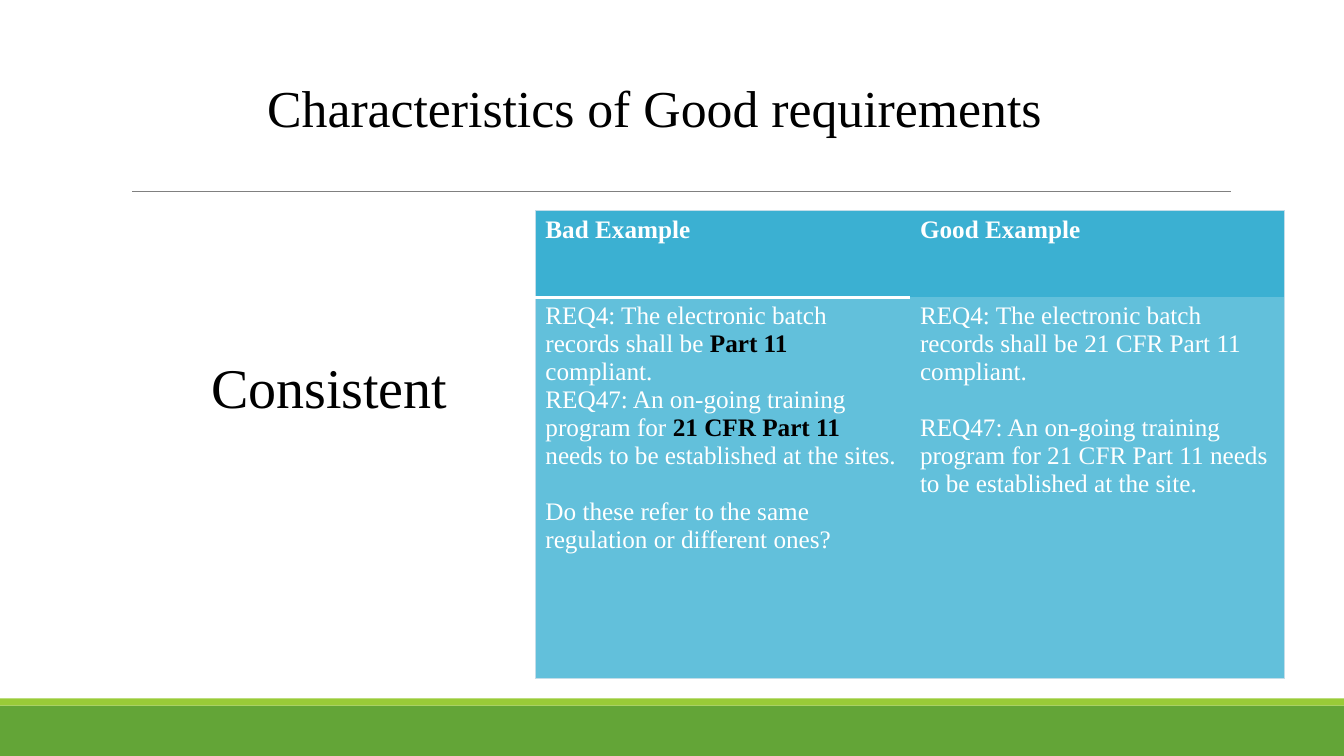
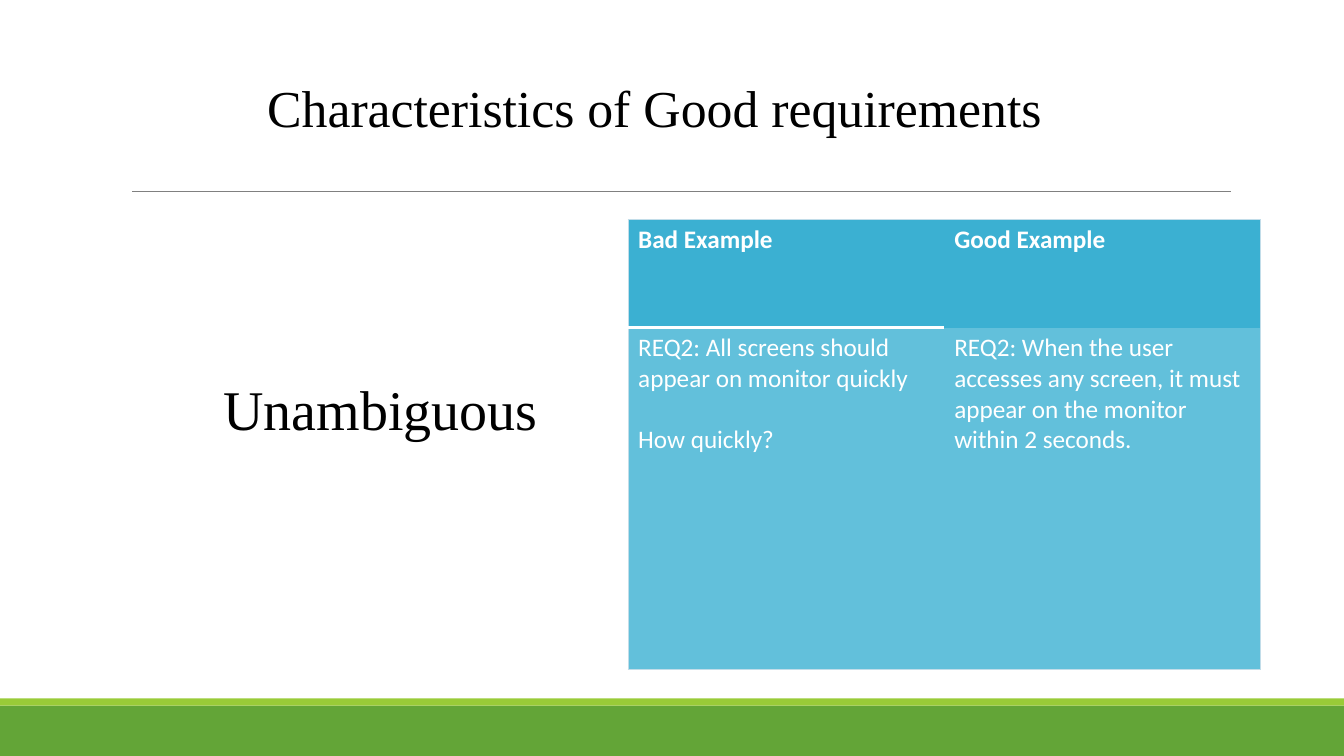
import pptx
import pptx.util
import pptx.dml.color
import pptx.enum.shapes
import pptx.enum.text
import pptx.oxml.ns
from lxml import etree

Inches, Pt = pptx.util.Inches, pptx.util.Pt
RGBColor = pptx.dml.color.RGBColor
PP_ALIGN = pptx.enum.text.PP_ALIGN
ANCHOR = pptx.enum.text.MSO_ANCHOR
qn = pptx.oxml.ns.qn

BLACK = RGBColor(0x00, 0x00, 0x00)
WHITE = RGBColor(0xFF, 0xFF, 0xFF)
GREEN = RGBColor(0x63, 0xA5, 0x37)
LIME = RGBColor(0x99, 0xCB, 0x38)
GRAY = RGBColor(0x80, 0x80, 0x80)
HEADER_BLUE = RGBColor(0x3B, 0xB0, 0xD2)
BODY_BLUE = RGBColor(0x62, 0xC0, 0xDB)
EDGE_BLUE = RGBColor(0xC2, 0xDD, 0xE9)
SERIF, SANS = "Times New Roman", "Calibri"
NO_STYLE = "{2D5ABB26-0587-4C30-8999-92F81FD0307C}"

TITLE = "Characteristics of Good requirements"
HEADERS = ["Bad Example", "Good Example"]
BANDS = [(7, 0.5, GREEN), (6.93, 0.07, LIME)]  # top, height, colour

# Each cell is a list of (gap before, runs); a run is (text, emphasised).
SLIDES = [
    dict(
        label="Consistent", label_box=(1.87, 3.39, 2.79, 0.89),
        table_box=(5.31, 2.09, 7.43, 4.64), header_height=0.86,
        font=SERIF, gap=19.9,
        cells=[
            [(False, [("REQ4: The electronic batch records shall be ", False),
                      ("Part 11 ", True), ("compliant.", False)]),
             (False, [("REQ47: An on-going training program for ", False),
                      ("21 CFR Part 11 ", True),
                      ("needs to be established at the sites.", False)]),
             (True, [("Do these refer to the same regulation or "
                      "different ones?", False)])],
            [(False, [("REQ4: The electronic batch records shall be "
                       "21 CFR Part 11 compliant.", False)]),
             (True, [("REQ47: An on-going training program for 21 CFR Part 11 "
                      "needs to be established at the site.", False)])],
        ],
    ),
    dict(
        label="Unambiguous", label_box=(1.44, 3.55, 4.67, 1),
        table_box=(6.23, 2.18, 6.27, 4.46), header_height=1.07,
        font=SANS, gap=22,
        cells=[
            [(False, [("REQ2: All screens should appear on monitor quickly",
                       False)]),
             (True, [("How quickly?", False)])],
            [(False, [("REQ2: When the user accesses any screen, it must "
                       "appear on the monitor within 2 seconds.", False)])],
        ],
    ),
]


def add_run(p, text, size, font, color=BLACK, bold=False):
    """Append one formatted run to a paragraph."""
    r = p.add_run()
    r.text = text
    r.font.size, r.font.name, r.font.bold = Pt(size), font, bold
    r.font.color.rgb = color


def add_frame(s):
    """Draw the footer bands and the rule below the title."""
    for top, height, color in BANDS:
        sp = s.shapes.add_shape(pptx.enum.shapes.MSO_SHAPE.RECTANGLE, 0,
                                Inches(top), prs.slide_width, Inches(height))
        sp.shadow.inherit = False
        sp.fill.solid()
        sp.fill.fore_color.rgb = color
        sp.line.fill.background()
    rule = s.shapes.add_connector(pptx.enum.shapes.MSO_CONNECTOR.STRAIGHT,
                                  Inches(1.31), Inches(1.9),
                                  Inches(12.21), Inches(1.9))
    rule.line.color.rgb, rule.line.width = GRAY, Pt(0.5)
    etree.SubElement(rule.element.spPr, qn("a:effectLst"))


def add_title(s):
    """Place and fill the title placeholder."""
    sp = s.shapes.title
    sp.left, sp.top, sp.width, sp.height = map(Inches, (2.55, 0.56, 7.96, 1))
    tf = sp.text_frame
    tf.vertical_anchor = ANCHOR.MIDDLE
    p = tf.paragraphs[0]
    p.alignment = PP_ALIGN.LEFT
    add_run(p, TITLE, 37, SERIF)


def add_label(s, text, box):
    """Add the large name of the characteristic."""
    tf = s.shapes.add_textbox(*map(Inches, box)).text_frame
    tf.word_wrap = True
    tf.vertical_anchor = ANCHOR.MIDDLE
    p = tf.paragraphs[0]
    p.alignment = PP_ALIGN.CENTER
    p.space_before, p.space_after = Pt(10), Pt(6)
    add_run(p, text, 40, SERIF)


def set_borders(tc, edges):
    """Write the borders of a cell; edges maps L, R, T, B to colour and width."""
    tc_pr = tc.find(qn("a:tcPr"))
    for i, side in enumerate("LRTB"):
        color, width = edges.get(side, (None, 0))
        ln = etree.Element(qn("a:ln" + side), w=str(int(Pt(width))))
        if color is None:
            etree.SubElement(ln, qn("a:noFill"))
        else:
            fill = etree.SubElement(ln, qn("a:solidFill"))
            etree.SubElement(fill, qn("a:srgbClr"), val=str(color))
        tc_pr.insert(i, ln)


def add_examples(s, box, header_height, font, gap, cells):
    """Add the table that compares a bad and a good example."""
    frame = s.shapes.add_table(2, 2, *map(Inches, box))
    table = frame.table
    table.first_row = table.horz_banding = False
    next(frame.element.iter(qn("a:tableStyleId"))).text = NO_STYLE
    table.rows[0].height = Inches(header_height)
    table.rows[1].height = Inches(box[3] - header_height)
    headers = [[(False, [(text, False)])] for text in HEADERS]
    tcs = list(frame.element.iter(qn("a:tc")))
    for row, contents in enumerate([headers, cells]):
        for col, paragraphs in enumerate(contents):
            cell = table.cell(row, col)
            cell.fill.solid()
            cell.fill.fore_color.rgb = BODY_BLUE if row else HEADER_BLUE
            edges = {"LR"[col]: (EDGE_BLUE, 1), "TB"[row]: (EDGE_BLUE, 1)}
            if col == 0:
                edges["BT"[row]] = (WHITE, 2)
            set_borders(tcs[2 * row + col], edges)
            tf = cell.text_frame
            for i, (spaced, runs) in enumerate(paragraphs):
                p = tf.add_paragraph() if i else tf.paragraphs[0]
                if spaced:
                    p.space_before = Pt(gap)
                for text, strong in runs:
                    add_run(p, text, 18, font, BLACK if strong else WHITE,
                            bold=strong or row == 0)


prs = pptx.Presentation()
prs.slide_width, prs.slide_height = Inches(13.33), Inches(7.5)
for item in SLIDES:
    s = prs.slides.add_slide(prs.slide_layouts[5])
    add_frame(s)
    add_title(s)
    add_label(s, item["label"], item["label_box"])
    add_examples(s, item["table_box"], item["header_height"],
                 item["font"], item["gap"], item["cells"])
prs.save("out.pptx")
